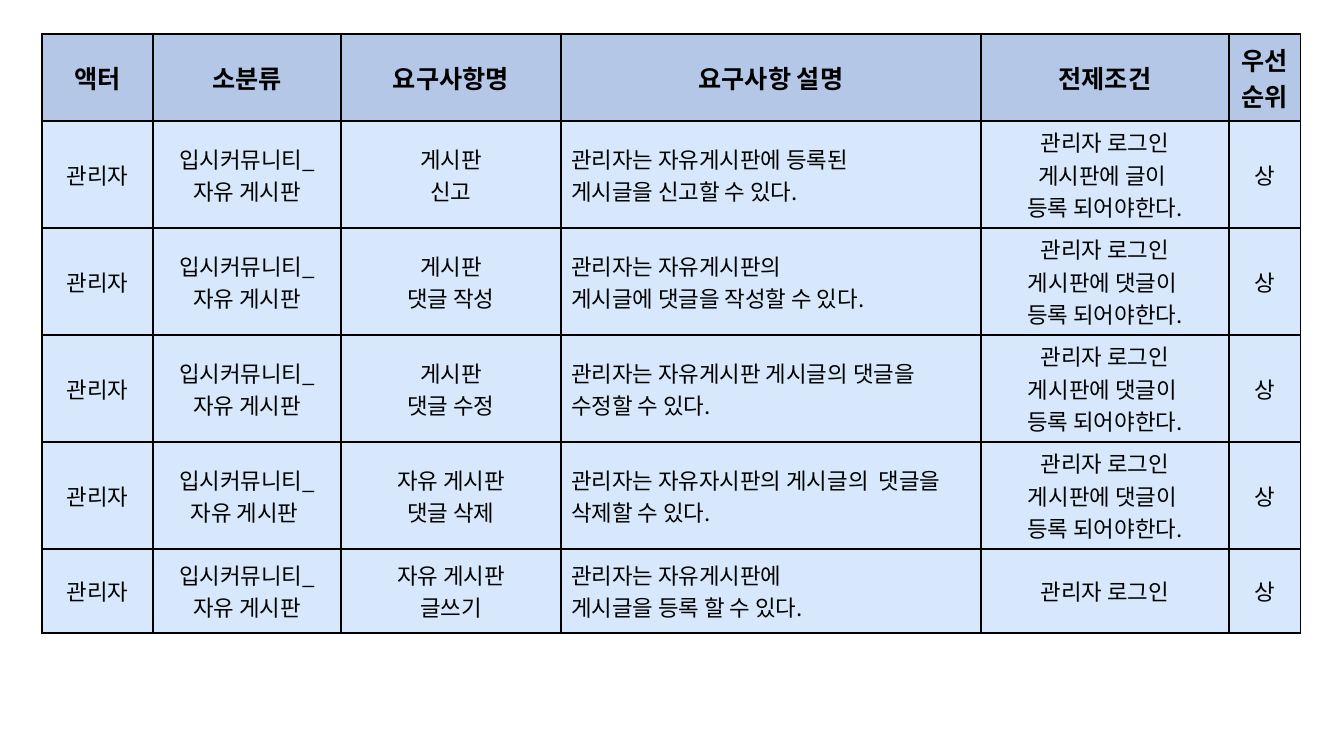
"""Build a slide with the requirements table of the community board."""
from lxml.etree import SubElement
from pptx import Presentation
from pptx.dml.color import RGBColor
from pptx.enum.text import MSO_ANCHOR as ANCHOR, PP_ALIGN as ALIGN
from pptx.oxml.ns import qn
from pptx.util import Pt

FONT = "Noto Sans CJK KR"
COLORS = {"text": "000000", "border": "000000", "header": "B4C7E7", "body": "D8E8FC"}
SLIDE_W, SLIDE_H = 1344, 756
LEFT, TOP = 42, 34
COL_WIDTHS = [111, 188, 220, 420, 248, 72]
ROW_HEIGHTS = [87, 107, 107, 107, 107, 84]
DESCRIPTION_COL = 3

HEADER = ["액터", "소분류", "요구사항명", "요구사항 설명", "전제조건", "우선순위"]
ACTOR, PRIORITY, LOGIN = "관리자", "상", "관리자 로그인"
CATEGORY = "입시커뮤니티_\n자유 게시판"
COMMENT_EXISTS = LOGIN + "\n게시판에 댓글이 \n등록 되어야한다."
REQUIREMENTS = [
    (CATEGORY, "게시판\n신고",
     "관리자는 자유게시판에 등록된\n게시글을 신고할 수 있다.",
     LOGIN + "\n게시판에 글이 \n등록 되어야한다."),
    (CATEGORY, "게시판\n댓글 작성",
     "관리자는 자유게시판의\n게시글에 댓글을 작성할 수 있다.", COMMENT_EXISTS),
    (CATEGORY, "게시판\n댓글 수정",
     "관리자는 자유게시판 게시글의 댓글을\n수정할 수 있다.", COMMENT_EXISTS),
    (CATEGORY + " ", "자유 게시판\n댓글 삭제",
     "관리자는 자유자시판의 게시글의  댓글을\n삭제할 수 있다.", COMMENT_EXISTS),
    (CATEGORY, "자유 게시판\n글쓰기",
     "관리자는 자유게시판에\n게시글을 등록 할 수 있다.", LOGIN),
]


def px(n):
    return round(n * 914400 / 100.8)


def set_borders(cell):
    tc_pr = cell._tc.get_or_add_tcPr()
    for i, side in enumerate(("lnL", "lnR", "lnT", "lnB")):
        ln = tc_pr.makeelement(qn(f"a:{side}"), {"w": str(Pt(1))})
        fill = SubElement(ln, qn("a:solidFill"))
        SubElement(fill, qn("a:srgbClr"), val=COLORS["border"])
        tc_pr.insert(i, ln)


def fill_cell(cell, text, is_header, align):
    cell.fill.solid()
    cell.fill.fore_color.rgb = RGBColor.from_string(COLORS["header" if is_header else "body"])
    cell.vertical_anchor = ANCHOR.MIDDLE
    set_borders(cell)
    tf = cell.text_frame
    for i, line in enumerate(text.split("\n")):
        p = tf.add_paragraph() if i else tf.paragraphs[0]
        p.alignment = align
        r = p.add_run()
        r.text = line
        r.font.name = FONT
        r.font.size = Pt(18 if is_header else 16)
        r.font.bold = is_header
        r.font.color.rgb = RGBColor.from_string(COLORS["text"])
        SubElement(r.font._element, qn("a:ea"), typeface=FONT)


def main():
    prs = Presentation()
    prs.slide_width, prs.slide_height = px(SLIDE_W), px(SLIDE_H)
    s = prs.slides.add_slide(prs.slide_layouts[6])
    rows = [HEADER] + [(ACTOR, *req, PRIORITY) for req in REQUIREMENTS]
    table = s.shapes.add_table(
        len(rows), len(HEADER), px(LEFT), px(TOP),
        px(sum(COL_WIDTHS)), px(sum(ROW_HEIGHTS))).table
    for col, width in zip(table.columns, COL_WIDTHS):
        col.width = px(width)
    for row, height in zip(table.rows, ROW_HEIGHTS):
        row.height = px(height)
    for i, row in enumerate(rows):
        for j, text in enumerate(row):
            is_left = i > 0 and j == DESCRIPTION_COL
            fill_cell(table.cell(i, j), text, i == 0, ALIGN.LEFT if is_left else ALIGN.CENTER)
    prs.save("out.pptx")


if __name__ == "__main__":
    main()
